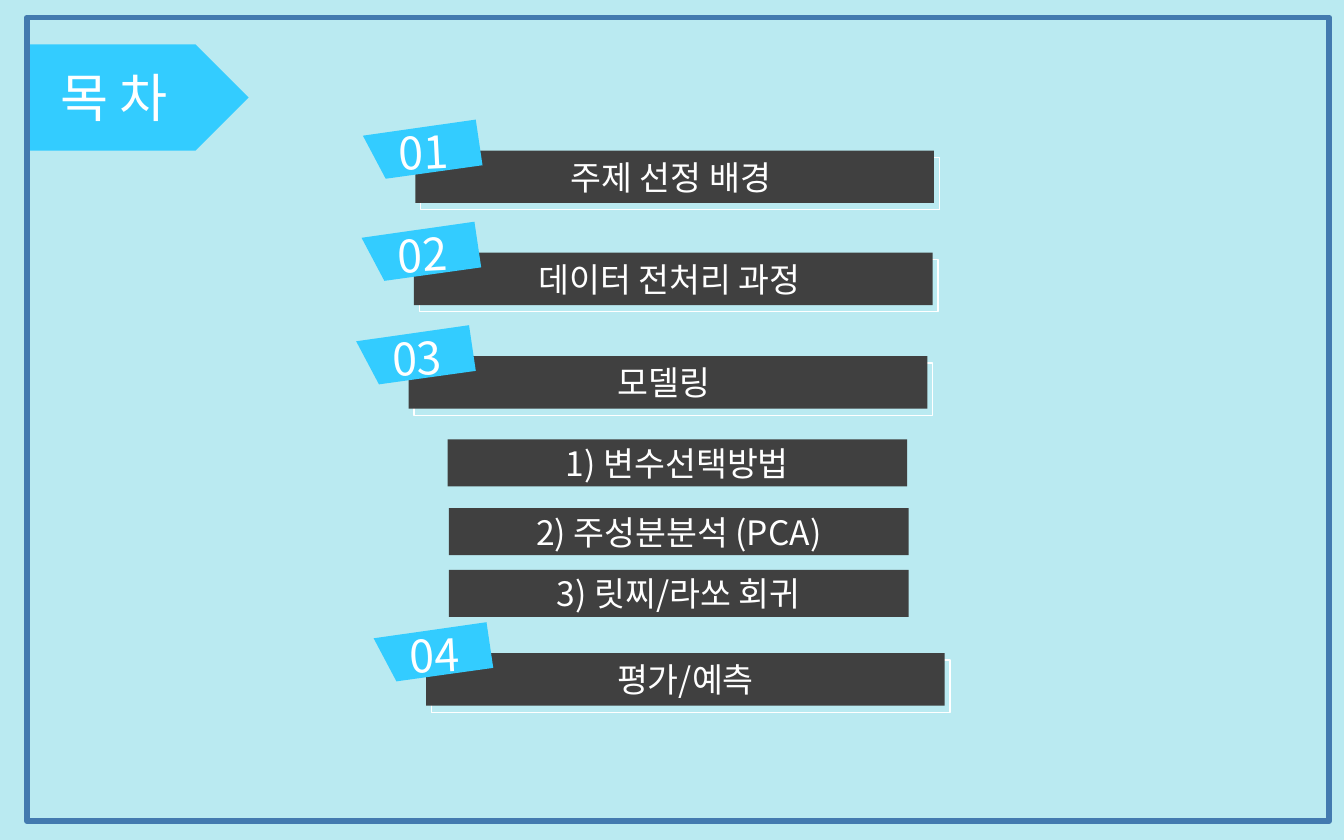
from lxml.etree import SubElement as Sub
from pptx import Presentation as Deck
from pptx.dml.color import RGBColor as Rgb
from pptx.enum.shapes import MSO_SHAPE as Form
from pptx.enum.text import MSO_ANCHOR as Anchor, PP_ALIGN as Align
from pptx.oxml.ns import qn
from pptx.util import Inches, Pt

COLS, ROWS = 100, 62.5
CELL = Inches(10) / COLS
HUES = {"back": "BAEAF1", "bar": "404040", "tag": "33CCFF", "edge": "437AAF", "white": "FFFFFF"}
FACE = "Noto Sans CJK KR"
TAG = [(-3.9, -1.1), (4.5, -2.3), (5, 1.1), (-2.2, 2.1)]
HEADS = [
    (30.9, 11.2, "주제 선정 배경 "),
    (30.8, 18.8, "데이터 전처리 과정 "),
    (30.4, 26.5, "모델링 "),
    (31.7, 48.6, "평가/예측"),
]
SUBS = [
    (33.3, 32.7, "1) 변수선택방법"),
    (33.4, 37.8, "2) 주성분분석 (PCA)"),
    (33.4, 42.4, "3) 릿찌/라쏘 회귀"),
]


def grid(*nums):
    """Turn counts of grid cells into lengths."""
    return [round(n * CELL) for n in nums]


def hue(name):
    """Look up a named colour."""
    return Rgb.from_string(HUES[name])


def paint(shape, fill=None, line=None, width=0.75):
    """Set fill and line, with no shadow."""
    shape.shadow.inherit = False
    if fill:
        shape.fill.solid()
        shape.fill.fore_color.rgb = hue(fill)
    else:
        shape.fill.background()
    if line:
        shape.line.color.rgb = hue(line)
        shape.line.width = Pt(width)
    else:
        shape.line.fill.background()


def write(shape, text, size, align, **frame):
    """Put one line of white text in a shape."""
    for key, val in frame.items():
        setattr(shape.text_frame, key, val)
    para = shape.text_frame.paragraphs[0]
    para.alignment = align
    run = para.add_run()
    run.text = text
    for key, val in {"size": Pt(size), "name": FACE}.items():
        setattr(run.font, key, val)
    run.font.color.rgb = hue("white")
    Sub(run.font._element, qn("a:ea"), typeface=FACE)


def block(page, form, box, **look):
    """Add a preset shape on the grid."""
    shape = page.shapes.add_shape(form, *grid(*box))
    paint(shape, **look)
    return shape


def label(page, box, text, size, wrap, turn=0):
    """Add a text box on the grid."""
    shape = page.shapes.add_textbox(*grid(*box))
    shape.rotation = turn
    write(shape, text, size, Align.LEFT, word_wrap=wrap)


def bar(page, box, text):
    """Add a dark bar with centred text."""
    shape = block(page, Form.RECTANGLE, box, fill="bar")
    write(shape, text, 18, Align.CENTER, vertical_anchor=Anchor.MIDDLE, word_wrap=True)


def head(page, num, left, top, text):
    """Add a numbered heading with its tag and offset outline."""
    block(page, Form.RECTANGLE, (left + 0.4, top + 0.5, 38.6, 3.9), line="white")
    bar(page, (left, top, 38.6, 3.9), text)
    dots = [grid(left + x, top + y) for x, y in TAG]
    pen = page.shapes.build_freeform(*dots[0])
    pen.add_line_segments(dots[1:], close=True)
    paint(pen.convert_to_shape(), fill="tag")
    label(page, (left - 2.2, top - 2.4, 5.9, 5), f"{num:02}", 24, False, 357.1)


def main():
    """Build the contents slide."""
    deck = Deck()
    deck.slide_width, deck.slide_height = grid(COLS, ROWS)
    page = deck.slides.add_slide(deck.slide_layouts[6])
    page.background.fill.solid()
    page.background.fill.fore_color.rgb = hue("back")
    for num, row in enumerate(HEADS, 1):
        head(page, num, *row)
    block(page, Form.PENTAGON, (2, 3.3, 16.5, 7.9), fill="tag")
    label(page, (3.5, 4.4, 10.3, 5.7), "목 차", 28, True)
    block(page, Form.RECTANGLE, (2, 1.3, 96.9, 59.8), line="edge", width=3)
    for left, top, text in SUBS:
        bar(page, (left, top, 34.2, 3.5), text)
    deck.save("out.pptx")


if __name__ == "__main__":
    main()
